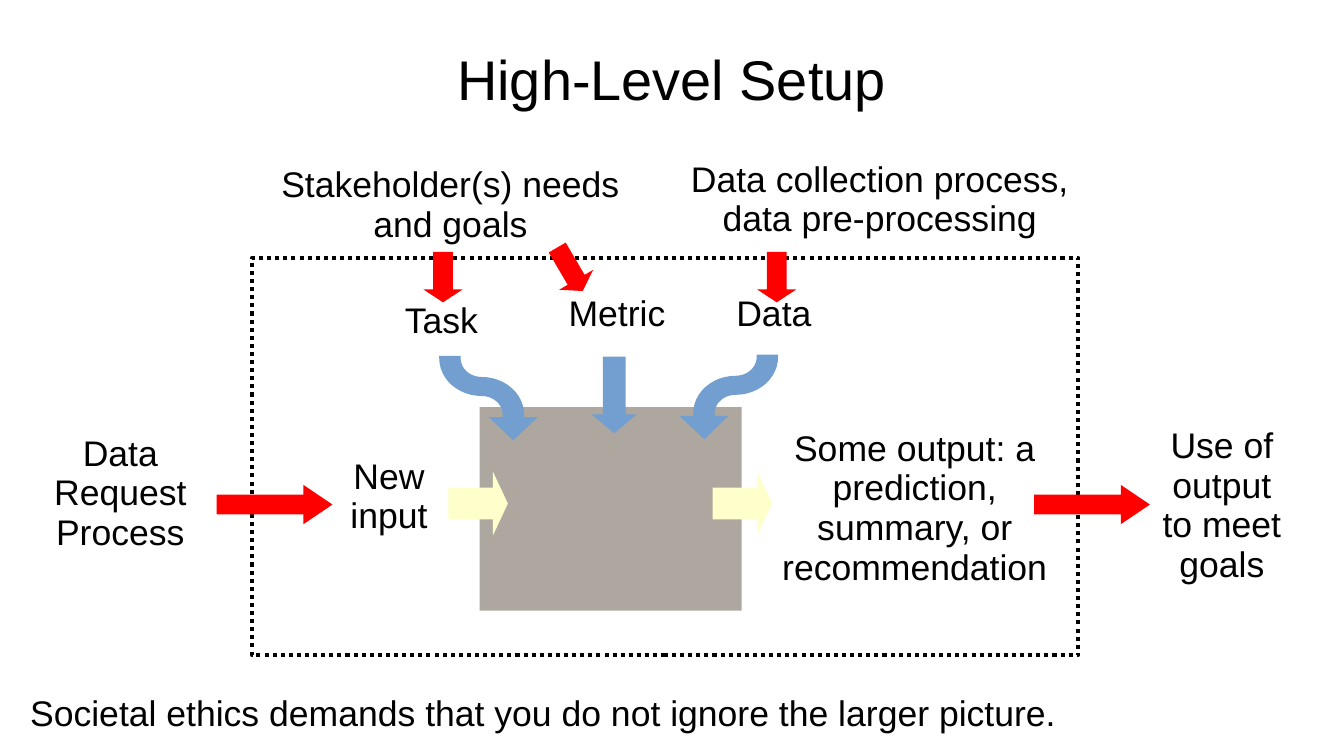
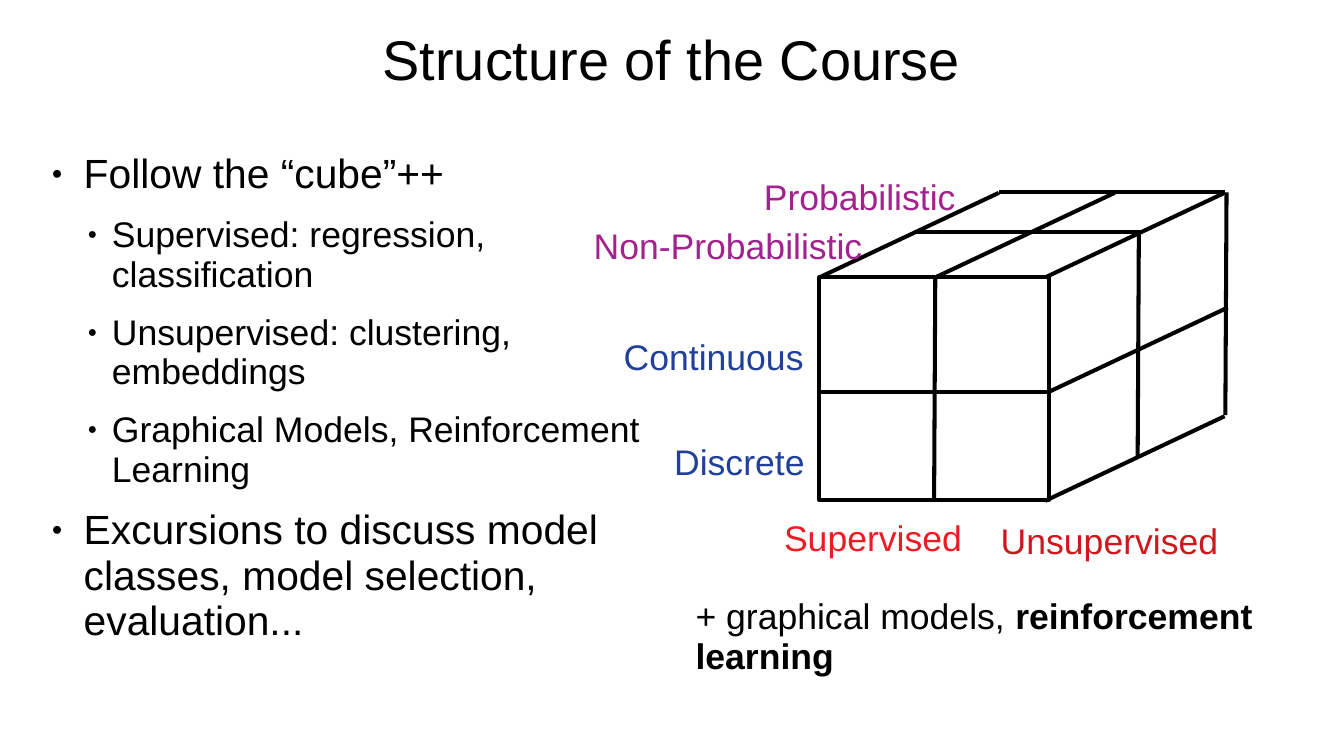
from math import cos, pi, sin
from lxml.etree import SubElement
from pptx import Presentation
from pptx.dml.color import RGBColor
from pptx.enum.dml import MSO_LINE
from pptx.enum.shapes import MSO_CONNECTOR, MSO_SHAPE
from pptx.enum.text import MSO_ANCHOR, MSO_AUTO_SIZE, PP_ALIGN
from pptx.oxml.ns import qn
from pptx.util import Cm, Pt

BLACK, RED, BLUE, CREAM, GRAY = "000000", "FF0000", "729FCF", "FFFFCC", "AEA79F"
NAVY, ROSE, BRICK, PLUM = "21409A", "ED1C24", "CE181E", "A3238E"
LEFT, MID = PP_ALIGN.LEFT, PP_ALIGN.CENTER


def tint(code):
    return RGBColor.from_string(code)


def put(item, form):
    for name, value in form.items():
        setattr(item, name, value)


def place(item, box):
    put(item, dict(zip(("left", "top", "width", "height"), map(Cm, box))))


class Deck:
    font = "Arial"
    sizes = {"title": 39.9, "list": 29.1, "text": 25.4}
    stroke = Pt(2.89)

    def __init__(self):
        self.show = Presentation()
        put(self.show, {"slide_width": Cm(33.87), "slide_height": Cm(19.05)})

    def start(self, title, top, layout):
        self.slide = self.show.slides.add_slide(self.show.slide_layouts[layout])
        head = self.slide.shapes.title
        place(head, (5.5, top, 22.86, 3.18))
        self.words(head.text_frame, title, "title", align=MID,
                   pad=(0, 0.1, 0, 0), anchor=MSO_ANCHOR.MIDDLE)

    def style(self, run, size, color=BLACK, bold=False):
        put(run.font, {"name": self.font, "size": Pt(self.sizes[size]), "bold": bold})
        run.font.color.rgb = tint(color)

    def words(self, frame, text, size="text", color=BLACK, align=LEFT,
              pad=(0.23, 0.18, 0.23, 0.1), anchor=MSO_ANCHOR.TOP):
        sides = ("margin_left", "margin_top", "margin_right", "margin_bottom")
        put(frame, dict(zip(sides, map(Cm, pad))))
        put(frame, {"text": text, "word_wrap": True, "vertical_anchor": anchor,
                    "auto_size": MSO_AUTO_SIZE.NONE})
        for para in frame.paragraphs:
            put(para, {"alignment": align, "line_spacing": 0.93, "space_before": Pt(0)})
            for run in para.runs:
                self.style(run, size, color)

    def text(self, box, text, color=BLACK, align=LEFT, bold=""):
        frame = self.slide.shapes.add_textbox(*map(Cm, box)).text_frame
        self.words(frame, text, color=color, align=align)
        if bold:
            run = frame.paragraphs[0].add_run()
            run.text = bold
            self.style(run, "text", bold=True)

    def points(self, box, rows):
        body = self.slide.placeholders[1]
        place(body, box)
        frame = body.text_frame
        self.words(frame, "\n".join(row for _, row in rows), pad=(0, 0.08, 0, 0))
        for para, (level, _) in zip(frame.paragraphs, rows):
            put(para, {"level": level, "space_after": Pt(12.9)})
            self.style(para.runs[0], "text" if level else "list")
            left, hang = ((1.09, 0.81), (1.8, 0.61))[level]
            prop = para._p.get_or_add_pPr()
            prop.set("marL", str(Cm(left)))
            prop.set("indent", str(-Cm(hang)))
            SubElement(SubElement(prop, qn("a:buClr")), qn("a:srgbClr")).set("val", BLACK)
            SubElement(prop, qn("a:buSzPct")).set("val", "45000")
            SubElement(prop, qn("a:buChar")).set("char", "●")

    def paint(self, shape, fill=None, dash=None):
        shape.shadow.inherit = False
        if fill:
            shape.fill.solid()
            shape.fill.fore_color.rgb = tint(fill)
            shape.line.fill.background()
        else:
            shape.fill.background()
            self.ink(shape.line)
            shape.line.dash_style = dash

    def ink(self, line):
        line.color.rgb = tint(BLACK)
        line.width = self.stroke

    def shape(self, kind, box, fill=None, dash=None, adj=(), turn=0):
        shape = self.slide.shapes.add_shape(kind, *map(Cm, box))
        for spot, value in enumerate(adj):
            shape.adjustments[spot] = value
        shape.rotation = turn
        self.paint(shape, fill, dash)

    def outline(self, points, fill):
        dots = [(Cm(x), Cm(y)) for x, y in points]
        pen = self.slide.shapes.build_freeform(*dots[0])
        pen.add_line_segments(dots[1:], close=True)
        self.paint(pen.convert_to_shape(), fill)

    def line(self, x, y, wide, high):
        ends = map(Cm, (x, y, x + wide, y + high))
        line = self.slide.shapes.add_connector(MSO_CONNECTOR.STRAIGHT, *ends)
        self.ink(line.line)
        SubElement(line._element.spPr, qn("a:effectLst"))


def bend():
    turns = [n * pi / 24 for n in range(13)]
    half = [(1.07, 0.77)]
    half += [(1.07 * cos(a), 0.71 - 0.95 * sin(a)) for a in turns]
    half += [(-0.53 * sin(a), 0.47 * cos(a) - 0.71) for a in turns]
    half += [(-0.53, -0.77)]
    back = [(-x, -y) for x, y in half]
    return half + back + [(0.18, 0.77), (0.79, 1.36), (1.42, 0.77)]


def setup(deck):
    deck.start("High-Level Setup", 0.43, 5)
    block, right, down = MSO_SHAPE.RECTANGLE, MSO_SHAPE.RIGHT_ARROW, MSO_SHAPE.DOWN_ARROW
    deck.shape(block, (12.09, 10.26, 6.6, 5.13), GRAY)
    for x in (11.3, 17.96):
        deck.shape(right, (x, 11.89, 1.5, 1.6), CREAM, adj=(0.5, 0.25))
    for x, y, side in ((12.14, 9.74, 1), (18.54, 9.71, -1)):
        deck.outline([(x + side * dx, y + dy) for dx, dy in bend()], BLUE)
    deck.shape(down, (14.91, 8.99, 1.14, 1.93), BLUE, adj=(0.5, 0.42))
    deck.shape(block, (6.35, 6.5, 20.83, 10.01), dash=MSO_LINE.ROUND_DOT)
    for box, text in (
        ((8.23, 7.42, 5.79, 2.01), "Task"),
        ((12.12, 7.26, 6.86, 1.52), "Metric"),
        ((16.61, 7.26, 5.79, 2.01), "Data"),
        ((6.91, 11.35, 5.79, 2.59), "New\ninput"),
        ((19.13, 10.64, 7.85, 2.92),
         "Some output: a prediction, summary, or recommendation"),
        ((6.3, 4.01, 10.11, 2.01), "Stakeholder(s) needs and goals"),
        ((17.12, 3.86, 10.11, 2.01), "Data collection process, data pre-processing"),
        ((0.99, 10.77, 4.09, 4.06), "Data\nRequest\nProcess"),
        ((28.75, 10.57, 4.09, 4.06), "Use of output\nto meet\ngoals"),
    ):
        deck.text(box, text, align=MID)
    for x, y, turn in ((10.67, 6.35, 0), (13.87, 6.15, -30.4), (19.08, 6.35, 0)):
        deck.shape(down, (x, y, 0.99, 1.27), RED, adj=(0.5, 0.33), turn=turn)
    for x in (5.46, 26.06):
        deck.shape(right, (x, 12.22, 2.92, 0.99), RED, adj=(0.5, 0.74))
    deck.text((0.53, 17.32, 32.77, 1.24),
              "Societal ethics demands that you do not ignore the larger picture.")


def course(deck):
    deck.start("Structure of the Course", -0.08, 1)
    deck.points((1.02, 3.76, 15.49, 13.26), (
        (0, "Follow the “cube”++"),
        (1, "Supervised: regression, classification"),
        (1, "Unsupervised: clustering, embeddings"),
        (1, "Graphical Models, Reinforcement Learning"),
        (0, "Excursions to discuss model classes, model selection, evaluation..."),
    ))
    deck.shape(MSO_SHAPE.RECTANGLE, (20.65, 6.99, 5.79, 5.61))
    for step, starts in (
        ((4.52, -2.13), ((20.65, 6.99), (23.57, 6.99), (26.34, 6.99),
                         (26.42, 9.88), (26.34, 12.62))),
        ((5.69, 0), ((25.17, 4.85), (23.04, 5.84), (20.7, 9.88))),
        ((-0.03, 5.61), ((23.57, 6.99), (28.7, 5.92), (30.91, 4.85))),
    ):
        for x, y in starts:
            deck.line(x, y, *step)
    for x, y, text, color in (
        (15.49, 8.36, "Continuous", NAVY),
        (16.76, 11, "Discrete", NAVY),
        (19.53, 12.93, "Supervised", ROSE),
        (24.99, 13, "Unsupervised", BRICK),
        (19.02, 4.32, "Probabilistic", PLUM),
        (14.73, 5.56, "Non-Probabilistic", PLUM),
    ):
        deck.text((x, y, 7.5, 1.2), text, color)
    deck.text((17.3, 14.88, 14.63, 1.88), "+ graphical models, ",
              bold="reinforcement learning")


def main():
    deck = Deck()
    setup(deck)
    course(deck)
    deck.show.save("out.pptx")


if __name__ == "__main__":
    main()
